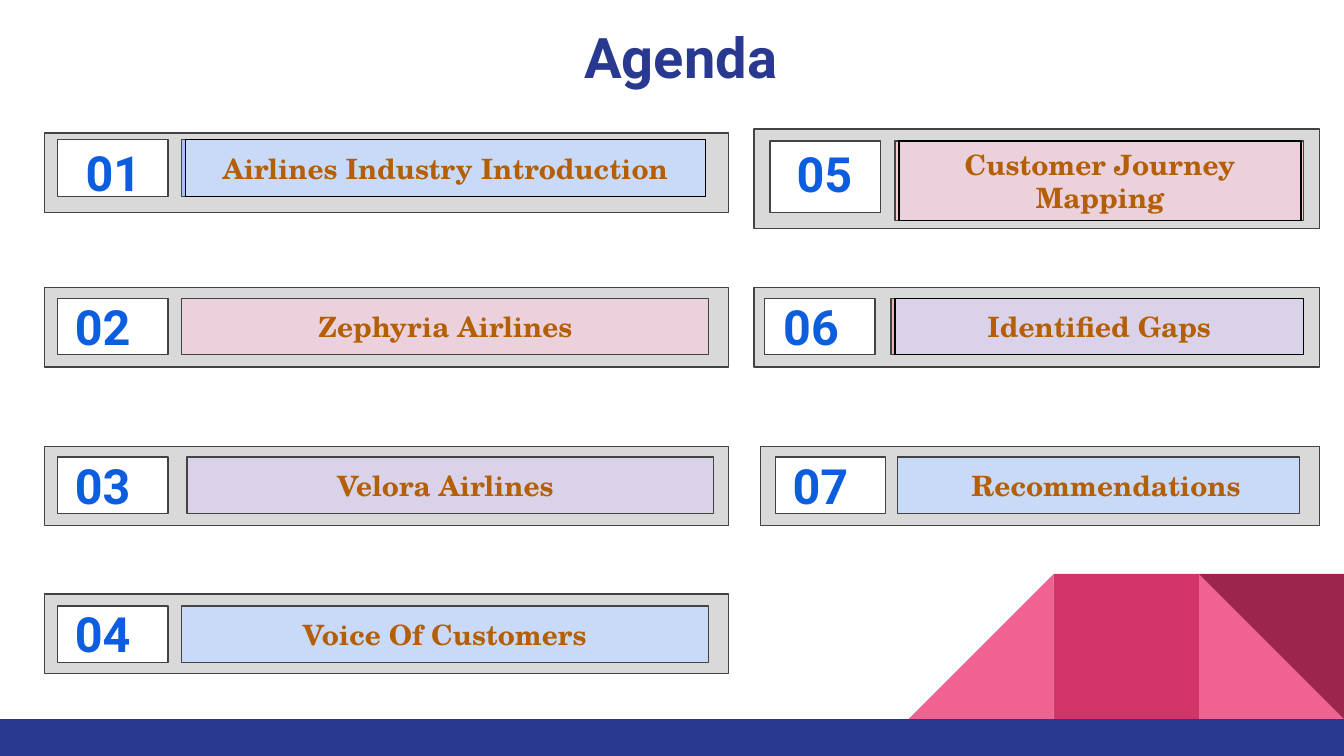
from dataclasses import dataclass

from pptx import Presentation
from pptx.dml.color import RGBColor
from pptx.enum.shapes import MSO_SHAPE
from pptx.enum.text import MSO_ANCHOR, MSO_AUTO_SIZE, PP_ALIGN
from pptx.util import Emu, Pt

PX = 9144  # EMU per px, 100 px to the inch
SLIDE_WIDTH = 1000


@dataclass(frozen=True)
class Theme:
    navy: str = "2A3990"
    pink: str = "F06292"
    rose: str = "D23369"
    wine: str = "9C254D"
    panel: str = "D9D9D9"
    white: str = "FFFFFF"
    outline: str = "434343"
    black: str = "000000"
    number: str = "0D5DDF"
    label: str = "B45F06"
    blue: str = "C9DAF8"
    deep_blue: str = "A4C2F4"
    mauve: str = "EAD1DC"
    lilac: str = "D9D2E9"
    blush: str = "F4CCCC"
    salmon: str = "E6B8AF"
    sans: str = "Roboto"
    serif: str = "TeX Gyre Schola"
    title_size: int = 30
    number_size: int = 26
    label_size: int = 15


THEME = Theme()


@dataclass(frozen=True)
class Entry:
    number: str
    topic: str
    panel: tuple  # left, top, width, height
    badge: tuple  # left, top, height
    digits: tuple  # left, offset below the badge top, height
    bar: tuple  # left, width, height, fill
    label: tuple  # left, width
    front_fill: str = ""  # fill of a black-edged label over the bar


ENTRIES = [
    Entry("01", "Airlines Industry Introduction", (33, 99, 509, 59), (43, 104, 42),
          (51, 6, 36), (135, 387, 42, THEME.deep_blue), (138, 387), THEME.blue),
    Entry("02", "Zephyria Airlines", (33, 214, 509, 59), (43, 222, 42),
          (43, 3, 36), (135, 392, 42, THEME.mauve), (144, 375)),
    Entry("03", "Velora Airlines", (33, 332, 509, 59), (43, 340, 42),
          (43, 3, 36), (139, 392, 42, THEME.lilac), (139, 385)),
    Entry("04", "Voice Of Customers", (33, 442, 509, 59), (43, 451, 42),
          (43, 2, 36), (135, 392, 42, THEME.blue), (135, 392)),
    Entry("05", "Customer Journey Mapping", (561, 96, 421, 74), (573, 105, 53),
          (580, 3, 42), (666, 304, 59, THEME.blush), (669, 299), THEME.mauve),
    Entry("06", "Identified Gaps", (561, 214, 421, 59), (569, 222, 42),
          (570, 3, 36), (663, 304, 42, THEME.salmon), (666, 304), THEME.lilac),
    Entry("07", "Recommendations", (566, 332, 416, 59), (577, 340, 42),
          (577, 3, 36), (668, 299, 42, THEME.blue), (671, 304)),
]


def to_emu(box):
    return [Emu(length * PX) for length in box]


def add_block(slide, box, fill, line=None, preset=MSO_SHAPE.RECTANGLE):
    block = slide.shapes.add_shape(preset, *to_emu(box))
    block.shadow.inherit = False
    block.fill.solid()
    block.fill.fore_color.rgb = RGBColor.from_string(fill)
    if line:
        block.line.color.rgb = RGBColor.from_string(line)
        block.line.width = Pt(0.75)
    else:
        block.line.fill.background()
    return block


def write(holder, text, font_name, size, color, anchor=MSO_ANCHOR.MIDDLE):
    frame = holder.text_frame
    frame.text = text
    frame.word_wrap = True
    frame.auto_size = MSO_AUTO_SIZE.NONE
    frame.vertical_anchor = anchor
    frame.margin_left = frame.margin_right = Emu(10 * PX)
    frame.margin_top = frame.margin_bottom = Emu(10 * PX)
    paragraph = frame.paragraphs[0]
    paragraph.alignment = PP_ALIGN.CENTER
    font = paragraph.font
    font.name, font.size, font.bold = font_name, Pt(size), True
    font.color.rgb = RGBColor.from_string(color)


def add_title(slide, text):
    title = slide.shapes.title
    title.left, title.top, title.width, title.height = to_emu((412, 7, 189, 59))
    write(title, text, THEME.sans, THEME.title_size, THEME.navy, MSO_ANCHOR.TOP)


def add_decoration(slide):
    side, top, right = 108, 427, 892
    triangle = MSO_SHAPE.RIGHT_TRIANGLE
    corner = (right, top, side, side)
    add_block(slide, corner, THEME.pink, preset=triangle)
    slope = add_block(slide, (right - 2 * side, top, side, side), THEME.pink, preset=triangle)
    slope.rotation = 270  # right angle at the bottom right
    add_block(slide, (right - side, top, side, side), THEME.rose)
    add_block(slide, corner, THEME.wine, preset=triangle).rotation = 180
    add_block(slide, (0, top + side, SLIDE_WIDTH, 28), THEME.navy)


def add_entry(slide, entry):
    # Grey panel with the number badge
    add_block(slide, entry.panel, THEME.panel, THEME.outline)
    badge_left, top, badge_height = entry.badge
    add_block(slide, (badge_left, top, 82, badge_height), THEME.white, THEME.outline)
    digits_left, drop, digits_height = entry.digits
    digits = slide.shapes.add_textbox(*to_emu((digits_left, top + drop, 67, digits_height)))
    write(digits, entry.number, THEME.sans, THEME.number_size, THEME.number)

    # Coloured bar with the topic
    bar_left, bar_width, height, fill = entry.bar
    add_block(slide, (bar_left, top, bar_width, height), fill, THEME.outline)
    label_left, label_width = entry.label
    label_box = (label_left, top, label_width, height)
    if entry.front_fill:
        label = add_block(slide, label_box, entry.front_fill, THEME.black)
    else:
        label = slide.shapes.add_textbox(*to_emu(label_box))
    write(label, entry.topic, THEME.serif, THEME.label_size, THEME.label)


def main():
    deck = Presentation()
    # Widescreen, 16 to 9
    deck.slide_width = Emu(SLIDE_WIDTH * PX)
    deck.slide_height = Emu(SLIDE_WIDTH * PX * 9 // 16)
    slide = deck.slides.add_slide(deck.slide_layouts[5])
    add_decoration(slide)
    add_title(slide, "Agenda")
    for entry in ENTRIES:
        add_entry(slide, entry)
    deck.save("out.pptx")


if __name__ == "__main__":
    main()
